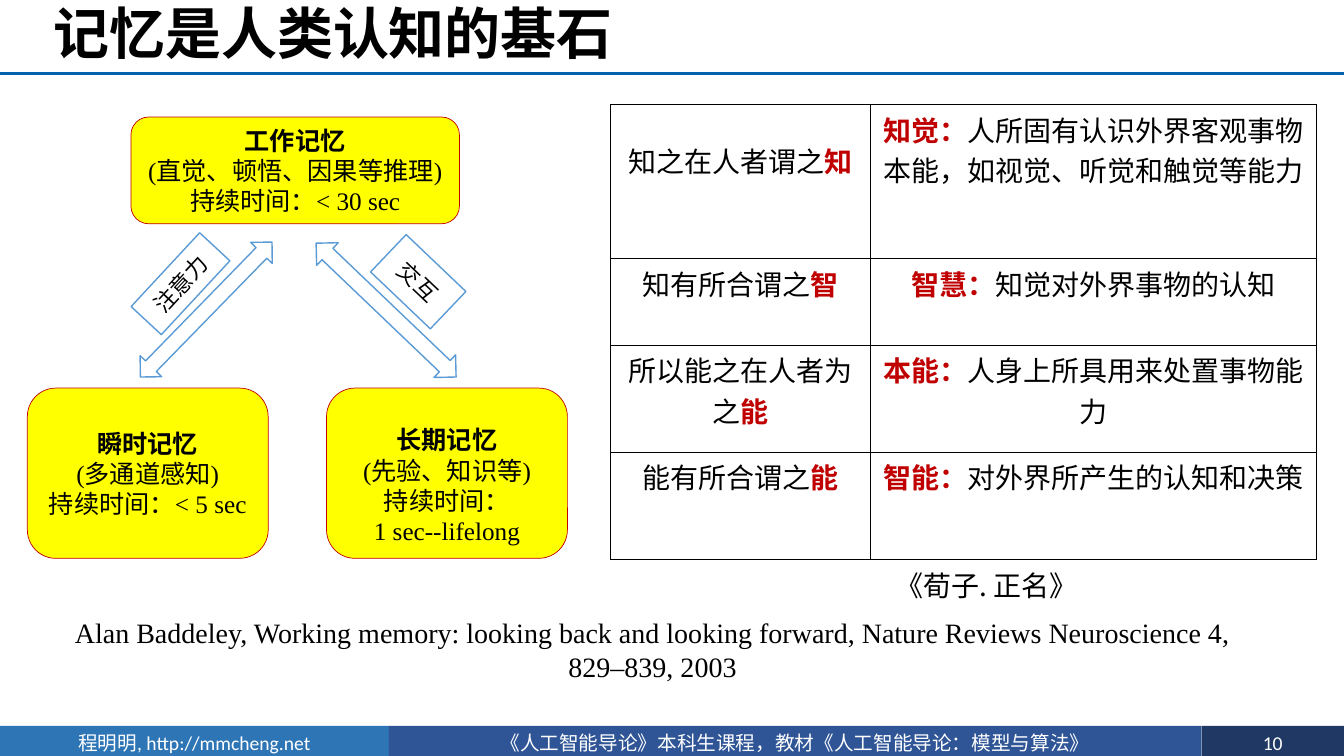
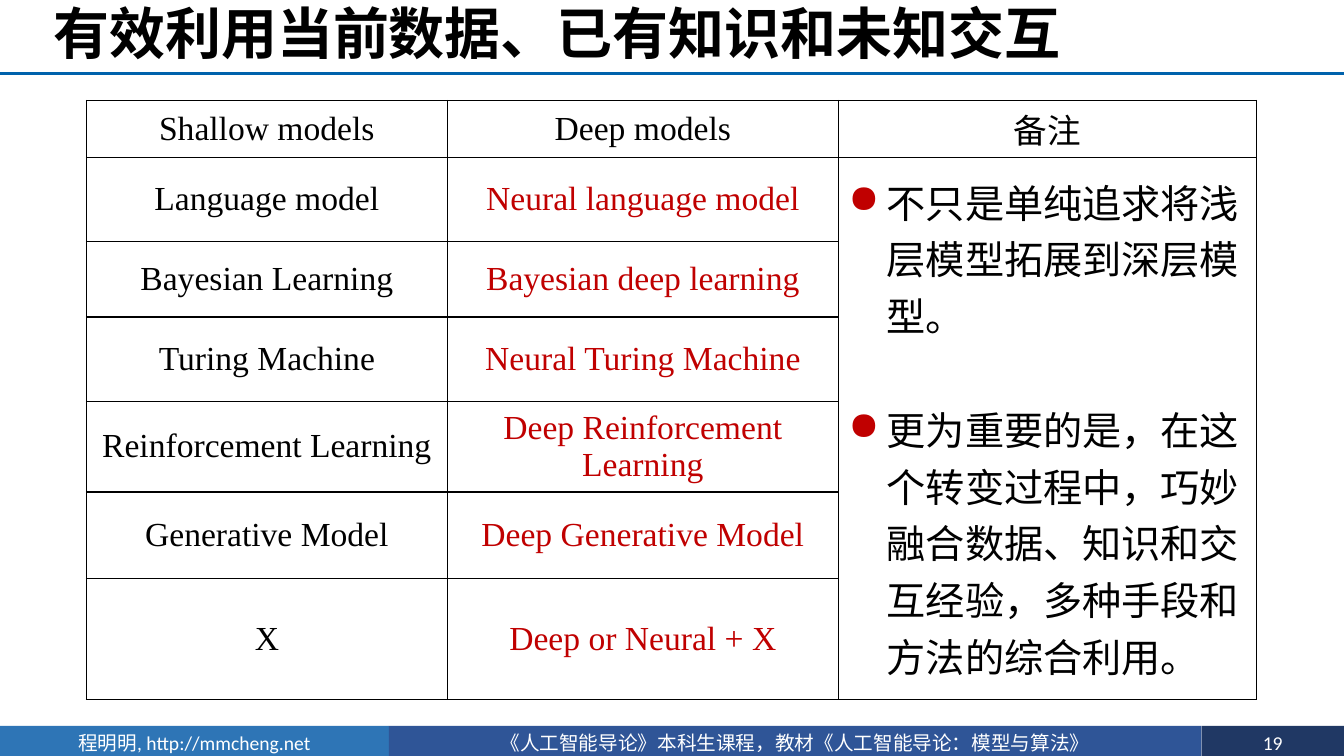
"""Build two course slides on memory and on shallow versus deep models."""
from lxml.etree import SubElement
from pptx import Presentation
from pptx.dml.color import RGBColor
from pptx.enum.lang import MSO_LANGUAGE_ID as Lang
from pptx.enum.shapes import MSO_CONNECTOR as Link, MSO_SHAPE as Kind
from pptx.enum.text import MSO_ANCHOR as Anchor, PP_ALIGN as Align
from pptx.oxml.ns import qn
from pptx.util import Cm, Pt

BLACK = RGBColor(0x00, 0x00, 0x00)
WHITE = RGBColor(0xFF, 0xFF, 0xFF)
RED = RGBColor(0xC0, 0x00, 0x00)
YELLOW = RGBColor(0xFF, 0xFF, 0x00)
SKY = RGBColor(0x5B, 0x9B, 0xD5)
RULE = RGBColor(0x00, 0x62, 0xAC)
BLUE = RGBColor(0x2E, 0x75, 0xB6)
ROYAL = RGBColor(0x2F, 0x55, 0x97)
NAVY = RGBColor(0x20, 0x38, 0x64)

SERIF, SANS, HAN = "Times New Roman", "Calibri", "Noto Sans CJK SC"
BOLD = {"bold": True}
KEY = {"bold": True, "color": RED}
WIDE, HIGH = 33.87, 19.05
FOOT, BAND, EDGE = 18.29, 0.86, 30.28

BANDS = [
    (0, 9.8, BLUE, "程明明, http://mmcheng.net"),
    (9.8, 20.48, ROYAL, "《人工智能导论》本科生课程，教材《人工智能导论：模型与算法》"),
]

STORES = [
    ((0.69, 9.78, 6.07, 4.29), 0, ["瞬时记忆", "(多通道感知)", "持续时间：< 5 sec"]),
    ((3.3, 2.95, 8.28, 2.69), 0,
     ["工作记忆", "(直觉、顿悟、因果等推理)", "持续时间：< 30 sec"]),
    ((8.23, 9.78, 6.07, 4.29), 0.6,
     ["长期记忆", "(先验、知识等)", "持续时间：", "1 sec--lifelong"]),
]
ARROWS = [((7.29, 7.42, 4.88, 0.79), 43.7), ((2.82, 7.42, 4.75, 0.76), 134.3)]
TAGS = [
    ("注意力", (3.28, 6.63, 2.54, 1.04), 312.9),
    ("交互", (9.5, 6.45, 2.08, 1.3), 43.6),
]
CITE = ("Alan Baddeley, Working memory: looking back and looking forward, "
        "Nature Reviews Neuroscience 4, 829–839, 2003")
TERMS = [
    ("知之在人者谓之", "知", "知觉：", "人所固有认识外界客观事物本能，如视觉、听觉和触觉等能力"),
    ("知有所合谓之", "智", "智慧：", "知觉对外界事物的认知"),
    ("所以能之在人者为之", "能", "本能：", "人身上所具用来处置事物能力"),
    ("能有所合谓之", "能", "智能：", "对外界所产生的认知和决策"),
]

HEADS = ["Shallow models", "Deep models", "备注"]
MODELS = [
    ("Language model", "Neural language model"),
    ("Bayesian Learning", "Bayesian deep learning"),
    ("Turing Machine", "Neural Turing Machine"),
    ("Reinforcement Learning", "Deep Reinforcement Learning"),
    ("Generative Model", "Deep Generative Model"),
    ("X", "Deep or Neural + X"),
]
NOTES = [
    "不只是单纯追求将浅层模型拓展到深层模型。",
    "更为重要的是，在这个转变过程中，巧妙融合数据、知识和交互经验，多种手段和方法的综合利用。",
]


def cms(*nums):
    return [Cm(num) for num in nums]


def put(frame, paras, size=18, face=SERIF, color=BLACK, bold=False,
        align=Align.CENTER, line=None, gap=0, dot=None):
    """Fill a frame; a paragraph is a string or a list of (text, changes)."""
    for idx, runs in enumerate(paras):
        para = frame.add_paragraph() if idx else frame.paragraphs[0]
        if dot:
            props = para._p.get_or_add_pPr()
            props.set("marL", str(Cm(0.97)))
            props.set("indent", str(-Cm(0.97)))
            hue = SubElement(props, qn("a:buClr"))
            SubElement(hue, qn("a:srgbClr"), val=str(RED))
            SubElement(props, qn("a:buChar"), char=dot)
        para.alignment = align
        if line:
            para.line_spacing = line
        if idx and gap:
            para.space_before = Pt(gap)
        for text, change in [(runs, {})] if isinstance(runs, str) else runs:
            run = para.add_run()
            run.text = text
            font = run.font
            font.size, font.name = Pt(size), face
            font.bold = change.get("bold", bold)
            font.color.rgb = change.get("color", color)
            font.language_id = Lang.SIMPLIFIED_CHINESE
            SubElement(run._r.get_or_add_rPr(), qn("a:ea"), typeface=HAN)


def pad(item, side, top, base=None):
    item.margin_left = item.margin_right = Cm(side)
    item.margin_top = Cm(top)
    item.margin_bottom = Cm(top if base is None else base)


def draw(slide, kind, place, fill, edge=None, width=1, turn=0):
    shape = slide.shapes.add_shape(kind, *cms(*place))
    shape.shadow.inherit = False
    shape.fill.solid()
    shape.fill.fore_color.rgb = fill
    if edge is None:
        shape.line.fill.background()
    else:
        shape.line.color.rgb = edge
        shape.line.width = Pt(width)
    shape.rotation = turn
    shape.text_frame.vertical_anchor = Anchor.MIDDLE
    return shape


def band(slide, left, width, fill, text):
    shape = draw(slide, Kind.RECTANGLE, (left, FOOT, width, BAND), fill)
    put(shape.text_frame, [text], size=14, face=SANS, color=WHITE)
    return shape


def note(slide, place, text, **style):
    frame = slide.shapes.add_textbox(*cms(*place)).text_frame
    frame.word_wrap = True
    pad(frame, 0.18, 0.1)
    put(frame, [text], size=20, **style)


def grid(slide, left, top, cols, rows, side, anchor):
    size = cms(left, top, sum(cols), sum(rows))
    table = slide.shapes.add_table(len(rows), len(cols), *size).table
    table.first_row = table.horz_banding = False
    for parts, sizes, name in ((table.columns, cols, "width"),
                               (table.rows, rows, "height")):
        for part, num in zip(parts, sizes):
            setattr(part, name, Cm(num))
    for cell in table.iter_cells():
        pad(cell, side, 0.1)
        cell.vertical_anchor = anchor
        props = cell._tc.get_or_add_tcPr()
        for tag in ("a:lnL", "a:lnR", "a:lnT", "a:lnB"):
            edge = SubElement(props, qn(tag), w=str(Pt(1)))
            fill = SubElement(edge, qn("a:solidFill"))
            SubElement(fill, qn("a:srgbClr"), val=str(BLACK))
        cell.fill.background()
    return table


def start(deck, layout, title, page):
    slide = deck.slides.add_slide(layout)
    frame = slide.shapes.title.text_frame
    frame.vertical_anchor = Anchor.MIDDLE
    put(frame, [title], size=40, bold=True, align=Align.LEFT, line=0.9)
    band(slide, EDGE, WIDE - EDGE, NAVY, page)
    return slide


def style(layout, slide):
    """Move the shared bands and rule from a slide to its layout."""
    for hold in list(layout.placeholders):
        if hold.placeholder_format.idx:
            hold.element.getparent().remove(hold.element)
        else:
            hold.left, hold.top, hold.width, hold.height = cms(1.09, 0, 32.77, 1.85)
    parts = [band(slide, *item) for item in BANDS]
    rule = slide.shapes.add_connector(Link.STRAIGHT, *cms(0, 1.85, WIDE, 1.85))
    rule.line.color.rgb = RULE
    rule.line.width = Pt(2)
    SubElement(rule.element.spPr, qn("a:effectLst"))
    for part in parts + [rule]:
        layout.shapes.element.append(part.element)


def memory(slide):
    for place, top, lines in STORES:
        shape = draw(slide, Kind.ROUNDED_RECTANGLE, place, YELLOW, RED, 0.5)
        frame = shape.text_frame
        frame.word_wrap = False
        pad(frame, 0.15, top, 0)
        put(frame, [[(lines[0], BOLD)]] + lines[1:])
    for place, turn in ARROWS:
        draw(slide, Kind.LEFT_RIGHT_ARROW, place, WHITE, SKY, turn=turn)
    for text, place, turn in TAGS:
        frame = draw(slide, Kind.RECTANGLE, place, WHITE, SKY, turn=turn).text_frame
        pad(frame, 0.18, 0.1)
        put(frame, [text], size=16, face=SANS)
    note(slide, (1.6, 15.42, 29.69, 1.9), CITE)
    table = grid(slide, 15.39, 2.64, [6.55, 11.23], [3.88, 2.18, 2.7, 2.7],
                 0.18, Anchor.TOP)
    for row, (quote, key, term, sense) in enumerate(TERMS):
        put(table.cell(row, 0).text_frame, [[(quote, {}), (key, KEY)]], size=20)
        put(table.cell(row, 1).text_frame, [[(term, KEY), (sense, {})]], size=20)
    table.cell(0, 0).margin_top = Cm(0.89)
    note(slide, (22.38, 14.22, 6.48, 1.04), "《荀子. 正名》", face=HAN, align=Align.LEFT)


def models(slide):
    table = grid(slide, 2.18, 2.53, [9.09, 9.86, 10.54],
                 [1.42, 2.13, 1.9, 2.12, 2.29, 2.17, 3.05], 0.25, Anchor.MIDDLE)
    for col, head in enumerate(HEADS):
        put(table.cell(0, col).text_frame, [head], size=24)
    for row, pair in enumerate(MODELS, 1):
        for col, (text, color) in enumerate(zip(pair, (BLACK, RED))):
            put(table.cell(row, col).text_frame, [text], size=24, color=color)
    table.cell(1, 2).merge(table.cell(len(MODELS), 2))
    put(table.cell(1, 2).text_frame, NOTES, size=28, align=Align.LEFT, gap=41, dot="●")


def main():
    deck = Presentation()
    deck.slide_width, deck.slide_height = cms(WIDE, HIGH)
    layout = deck.slide_layouts[5]
    first = start(deck, layout, "记忆是人类认知的基石", "10")
    style(layout, first)
    memory(first)
    models(start(deck, layout, "有效利用当前数据、已有知识和未知交互", "19"))
    deck.save("out.pptx")


if __name__ == "__main__":
    main()
